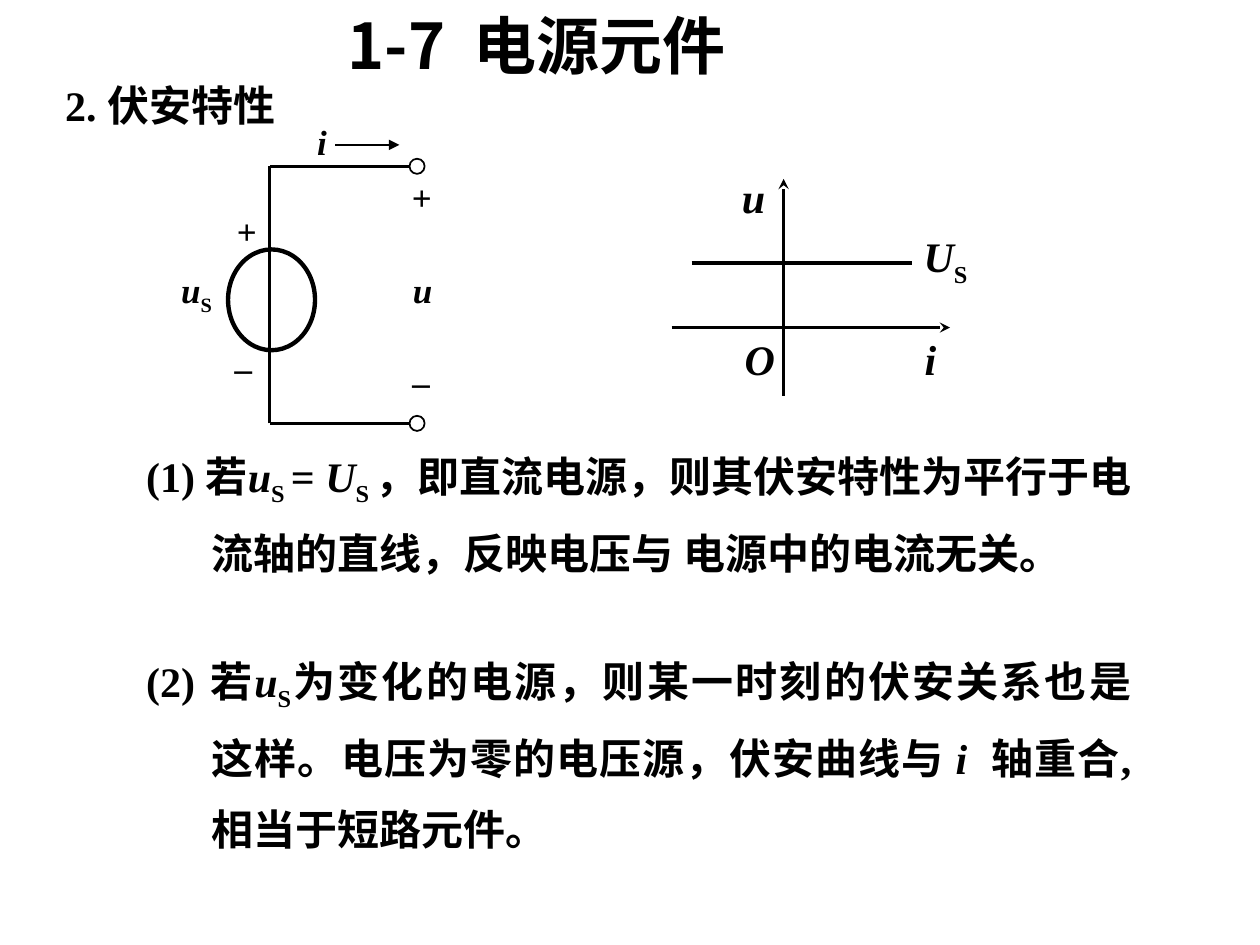
from pptx import Presentation
from pptx.dml.color import RGBColor
from pptx.enum.shapes import MSO_CONNECTOR, MSO_SHAPE
from pptx.enum.text import MSO_ANCHOR, MSO_AUTO_SIZE, PP_ALIGN
from pptx.oxml.ns import qn
from pptx.util import Inches, Pt
from lxml import etree

TOP, MIDDLE = MSO_ANCHOR.TOP, MSO_ANCHOR.MIDDLE
LEFT, CENTER, JUSTIFY = PP_ALIGN.LEFT, PP_ALIGN.CENTER, PP_ALIGN.JUSTIFY
NO_AUTOFIT = MSO_AUTO_SIZE.NONE
STRAIGHT = MSO_CONNECTOR.STRAIGHT
OVAL = MSO_SHAPE.OVAL
TWO_CONTENT = 3

PLAIN, ITALIC, SUB = "plain", "italic", "sub"


def rgb(hex_string):
    return RGBColor.from_string(hex_string)


class CircuitSlide:
    serif = "Times New Roman"
    sans = "Noto Sans CJK SC"
    ink = "000000"

    def __init__(self, slide):
        self.slide = slide
        self.shapes = slide.shapes

    def place(self, shape, left, top, width, height):
        shape.left, shape.top = Inches(left), Inches(top)
        shape.width, shape.height = Inches(width), Inches(height)

    def set_text(self, frame, runs, size, font, align, anchor):
        """Fill a frame with one bold paragraph of (text, style) runs."""
        frame.auto_size = NO_AUTOFIT
        frame.vertical_anchor = anchor
        paragraph = frame.paragraphs[0]
        paragraph.alignment = align
        paragraph.space_before = Pt(0)
        base_italic = runs[0][1] == ITALIC
        paragraph.font.name = font
        paragraph.font.size = Pt(size)
        paragraph.font.bold = True
        paragraph.font.italic = base_italic
        paragraph.font.color.rgb = rgb(self.ink)
        for text, style in runs:
            run = paragraph.add_run()
            run.text = text
            if (style == ITALIC) != base_italic:
                run.font.italic = style == ITALIC
            if style == SUB:
                run._r.get_or_add_rPr().set("baseline", "-25000")
        return paragraph

    def title(self, text, *box):
        heading = self.shapes.title
        self.place(heading, *box)
        self.set_text(heading.text_frame, [(text, PLAIN)], 36, self.sans, LEFT, TOP)

    def point(self, index, runs, *box):
        """Fill a body placeholder with a numbered, hanging paragraph."""
        body = self.slide.placeholders[index]
        self.place(body, *box)
        properties = body.text_frame.paragraphs[0]._p.get_or_add_pPr()
        properties.set("marL", str(Inches(0.52)))
        properties.set("indent", str(Inches(-0.52)))
        etree.SubElement(properties, qn("a:buNone"))
        paragraph = self.set_text(body.text_frame, runs, 24, self.serif, JUSTIFY, TOP)
        paragraph.line_spacing = 1.4

    def label(self, runs, size, *box, rotation=0, wrap=False):
        caption = self.shapes.add_textbox(*map(Inches, box))
        caption.rotation = rotation
        caption.text_frame.word_wrap = wrap
        self.set_text(caption.text_frame, runs, size, self.serif, CENTER, MIDDLE)

    def line(self, start, end, weight, arrow=None):
        wire = self.shapes.add_connector(STRAIGHT, *map(Inches, start + end))
        wire.line.color.rgb = rgb(self.ink)
        wire.line.width = Pt(weight)
        properties = wire._element.spPr
        if arrow:
            etree.SubElement(properties.find(qn("a:ln")), qn("a:tailEnd"), type=arrow)
        etree.SubElement(properties, qn("a:effectLst"))

    def circle(self, weight, *box):
        ring = self.shapes.add_shape(OVAL, *map(Inches, box))
        ring.shadow.inherit = False
        ring.fill.background()
        ring.line.color.rgb = rgb(self.ink)
        ring.line.width = Pt(weight)


def draw_circuit(page):
    source_x, terminal_x = 2.14, 3.25
    top_wire, bottom_wire = 1.32, 3.36
    page.line((source_x, bottom_wire), (source_x, top_wire), 1.5)
    page.circle(2.5, 1.81, 1.98, 0.69, 0.8)
    for wire_y in (top_wire, bottom_wire):
        page.line((terminal_x, wire_y), (source_x, wire_y), 1.5)
        page.circle(1, terminal_x, wire_y - 0.06, 0.12, 0.12)
    page.line((2.66, 1.15), (3.17, 1.15), 1, "triangle")

    page.label([("u", ITALIC), ("S", SUB)], 20, 1.34, 2.08, 0.44, 0.48)
    page.label([("i", ITALIC)], 20, 2.42, 0.9, 0.27, 0.44)
    page.label([("u", ITALIC)], 20, 3.18, 2.08, 0.35, 0.44)
    for left, top in ((1.78, 1.65), (3.17, 1.38)):
        page.label([("+", ITALIC)], 20, left, top, 0.36, 0.44, rotation=180)
    for left, top in ((1.78, 2.6), (3.19, 2.71)):
        page.label([("_", ITALIC)], 20, left, top, 0.34, 0.44, wrap=True)


def draw_characteristic(page):
    page.line((5.33, 2.6), (7.54, 2.6), 1.5, "stealth")
    page.line((6.22, 3.14), (6.22, 1.42), 1.5, "stealth")
    page.line((5.49, 2.09), (7.24, 2.09), 2.5)
    page.label([("U", ITALIC), ("S", SUB)], 24, 7.22, 1.78, 0.57, 0.56, wrap=True)
    for name, left, top, width in (
        ("u", 5.79, 1.31, 0.38),
        ("i", 7.24, 2.6, 0.29),
        ("O", 5.81, 2.6, 0.44),
    ):
        page.label([(name, ITALIC)], 24, left, top, width, 0.5)


def main():
    deck = Presentation()
    deck.slide_width, deck.slide_height = Inches(10), Inches(7.5)
    page = CircuitSlide(deck.slides.add_slide(deck.slide_layouts[TWO_CONTENT]))

    page.title("1-7  电源元件", 2.66, 0, 4.31, 0.7)
    page.label([("2. 伏安特性", PLAIN)], 24, 0.38, 0.58, 1.94, 0.5)
    draw_circuit(page)
    draw_characteristic(page)
    page.point(1, [
        ("(1) 若", PLAIN), ("u", ITALIC), ("S ", SUB), ("= ", PLAIN),
        ("U", ITALIC), ("S ", SUB),
        ("，即直流电源，则其伏安特性为平行于电流轴的直线，"
         "反映电压与 电源中的电流无关。", PLAIN),
    ], 1.06, 3.34, 8.02, 1.86)
    page.point(2, [
        ("(2) 若", PLAIN), ("u", ITALIC), ("S", SUB),
        ("为变化的电源，则某一时刻的伏安关系也是 这样。"
         "电压为零的电压源，伏安曲线与 ", PLAIN),
        ("i  ", ITALIC), ("轴重合,相当于短路元件。", PLAIN),
    ], 1.06, 4.97, 8.02, 1.86)
    deck.save("out.pptx")


if __name__ == "__main__":
    main()
